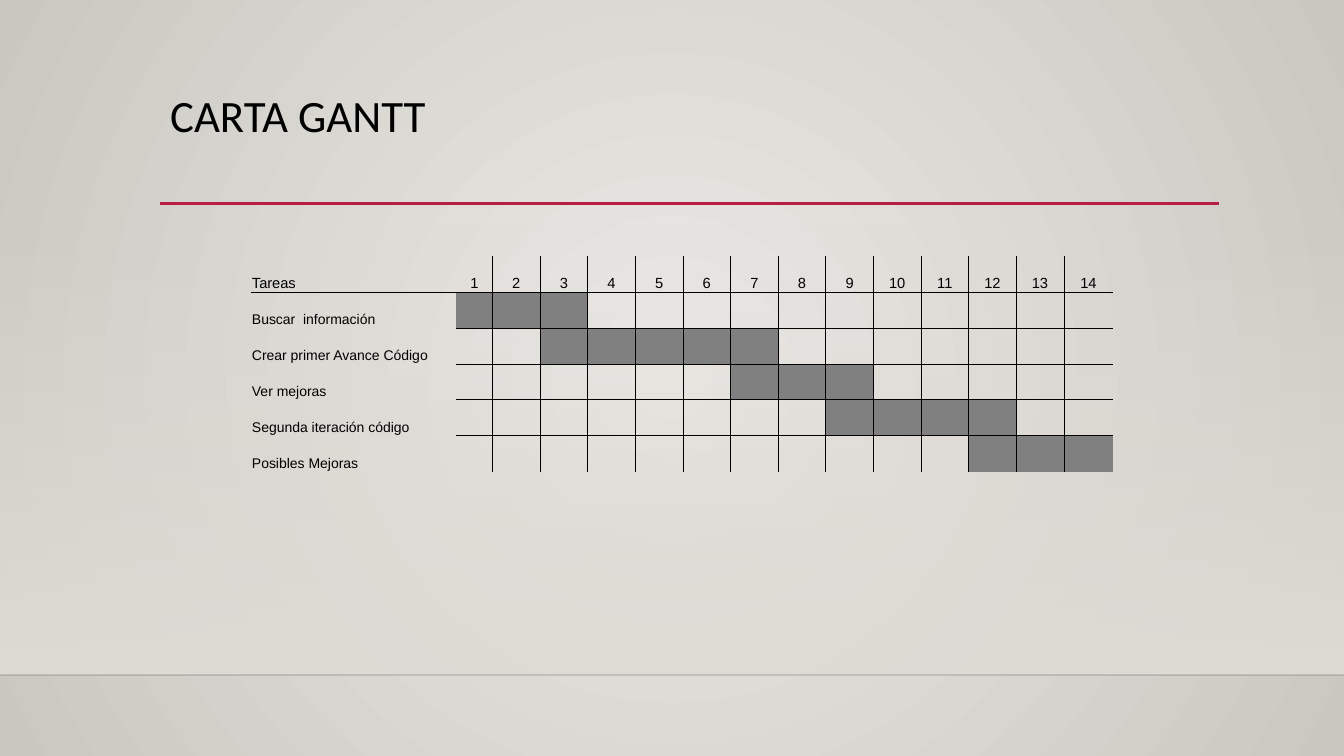
from lxml.etree import SubElement
from pptx import Presentation
from pptx.dml.color import RGBColor
from pptx.enum.shapes import MSO_CONNECTOR, MSO_SHAPE
from pptx.enum.text import MSO_ANCHOR, PP_ALIGN
from pptx.oxml.ns import qn
from pptx.util import Cm, Pt

HUES = {"mid": "ECEAE7", "edge": "CAC7C1", "wall": "DFDBD5", "floor": "000001",
        "rule": "B71E42", "ink": "000000", "bar": "808080"}
WIDE, HIGH = 33.87, 19.05
WEEKS = 14
TASKS = [("Buscar  información", 1, 3),
         ("Crear primer Avance Código", 3, 7),
         ("Ver mejoras", 7, 9),
         ("Segunda iteración código", 9, 12),
         ("Posibles Mejoras", 12, 14)]


def hue(name):
    return RGBColor.from_string(HUES[name])


def fade(fill, names):
    fill.gradient()
    for stop, name in zip(fill.gradient_stops, names):
        stop.color.rgb = hue(name)


def set_alpha(node, share):
    SubElement(node, qn("a:alpha"), val=str(share * 1000))


def style(para, size, font):
    para.font.size = Pt(size)
    para.font.name = font
    para.font.color.rgb = hue("ink")


def add_line(slide, left, top, width, name, weight):
    line = slide.shapes.add_connector(
        MSO_CONNECTOR.STRAIGHT, Cm(left), Cm(top), Cm(left + width), Cm(top))
    line.line.color.rgb = hue(name)
    line.line.width = Pt(weight)
    SubElement(line._element.spPr, qn("a:effectLst"))
    return line


def add_back(slide):
    fade(slide.background.fill, ["mid", "edge"])
    grad = slide._element.find(".//" + qn("a:gradFill"))
    grad.remove(grad.find(qn("a:lin")))
    ring = SubElement(grad, qn("a:path"), path="circle")
    SubElement(ring, qn("a:fillToRect"), l="50000", t="50000", r="50000", b="50000")


def add_wall(slide, left, top, width, height):
    wall = slide.shapes.add_shape(
        MSO_SHAPE.RECTANGLE, Cm(left), Cm(top), Cm(width), Cm(height))
    wall.shadow.inherit = False
    wall.line.fill.background()
    fade(wall.fill, ["wall", "wall"])
    wall.fill.gradient_angle = 270
    set_alpha(wall._element.spPr.find(".//" + qn("a:srgbClr")), 0)
    floor = add_line(slide, left, top + height, width, "floor", 1)
    set_alpha(floor._element.spPr.find(".//" + qn("a:srgbClr")), 20)


def add_title(slide, left, top, width, height):
    add_line(slide, left, top + height - 0.03, width, "rule", 2.5)
    frame = slide.shapes.add_textbox(
        Cm(left), Cm(top), Cm(width), Cm(height)).text_frame
    frame.word_wrap = True
    para = frame.paragraphs[0]
    para.text = "CARTA GANTT"
    para.line_spacing = 0.9
    style(para, 32, "Calibri")


def set_sides(cell, sides):
    props = cell._tc.get_or_add_tcPr()
    for side in "LRTB":
        edge = SubElement(props, qn("a:ln" + side), w=str(Pt(0.5)))
        if side in sides:
            fill = SubElement(edge, qn("a:solidFill"))
            SubElement(fill, qn("a:srgbClr"), val=HUES["ink"])
        else:
            SubElement(edge, qn("a:noFill"))


def find_sides(row, col):
    sides = ""
    if col > 1:
        sides += "L"
    if 0 < col < WEEKS:
        sides += "R"
    if row == 1 or row > 1 and col > 0:
        sides += "T"
    if row == 0 or row < len(TASKS) and col > 0:
        sides += "B"
    return sides


def add_gantt(slide, left, top, width, height):
    count = len(TASKS) + 1
    table = slide.shapes.add_table(
        count, WEEKS + 1, Cm(left), Cm(top), Cm(width), Cm(height)).table
    table.first_row = table.horz_banding = False
    sizes = [5.18, 0.91] + [1.2] * (WEEKS - 2) + [1.24]
    for col, size in zip(table.columns, sizes):
        col.width = Cm(size)
    for row in table.rows:
        row.height = Cm(height / count)
    texts = [["Tareas", *map(str, range(1, WEEKS + 1))]]
    texts += [[name] + [""] * WEEKS for name, _, _ in TASKS]
    for row, line in enumerate(texts):
        for col, text in enumerate(line):
            cell = table.cell(row, col)
            cell.margin_left = cell.margin_right = cell.margin_top = Cm(0.03)
            cell.margin_bottom = 0
            cell.vertical_anchor = MSO_ANCHOR.BOTTOM
            set_sides(cell, find_sides(row, col))
            if row and TASKS[row - 1][1] <= col <= TASKS[row - 1][2]:
                cell.fill.solid()
                cell.fill.fore_color.rgb = hue("bar")
            else:
                cell.fill.background()
            para = cell.text_frame.paragraphs[0]
            para.text = text
            para.alignment = PP_ALIGN.CENTER if col else PP_ALIGN.LEFT
            style(para, 10 if row else 10.5, "Arial")


def main():
    deck = Presentation()
    deck.slide_width, deck.slide_height = Cm(WIDE), Cm(HIGH)
    slide = deck.slides.add_slide(deck.slide_layouts[6])
    add_back(slide)
    add_wall(slide, 0, 5.61, WIDE, 11.4)
    add_title(slide, 4.04, 2.24, 26.68, 2.92)
    add_gantt(slide, 6.32, 6.45, 21.73, 5.44)
    deck.save("out.pptx")


if __name__ == "__main__":
    main()
